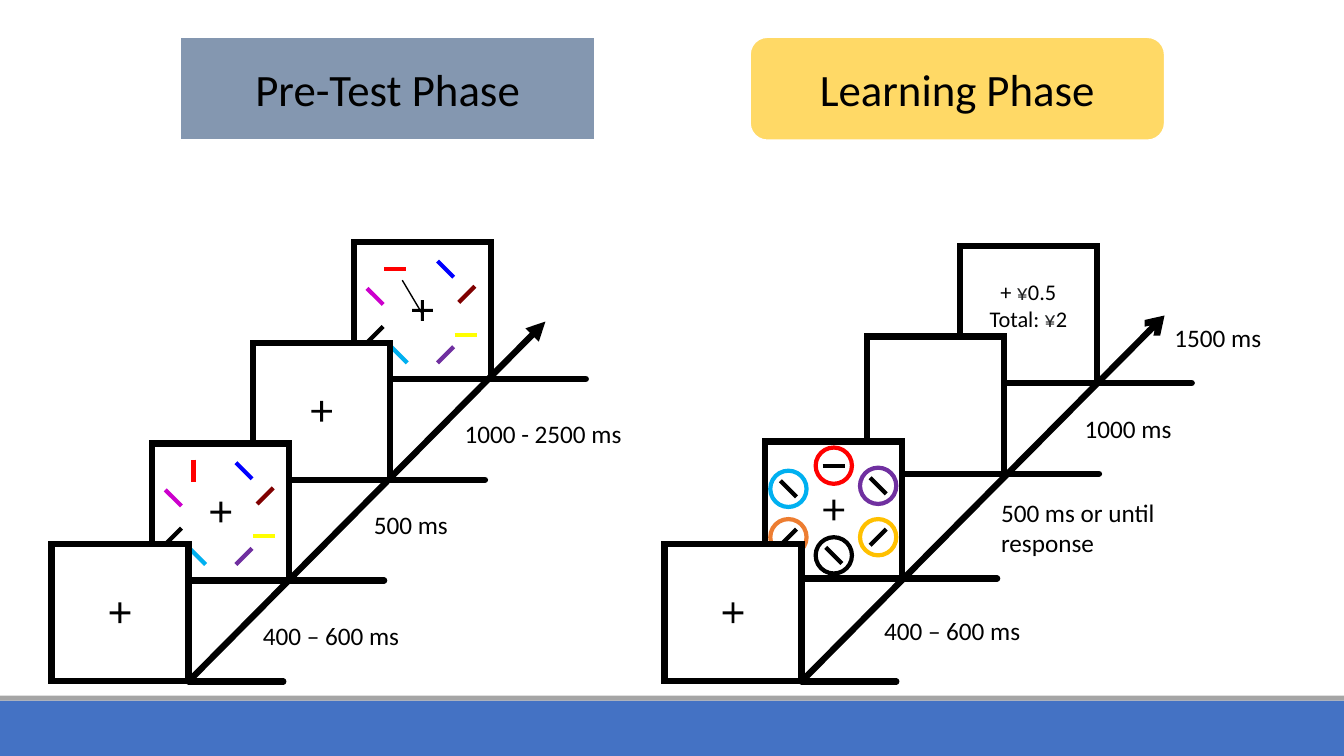
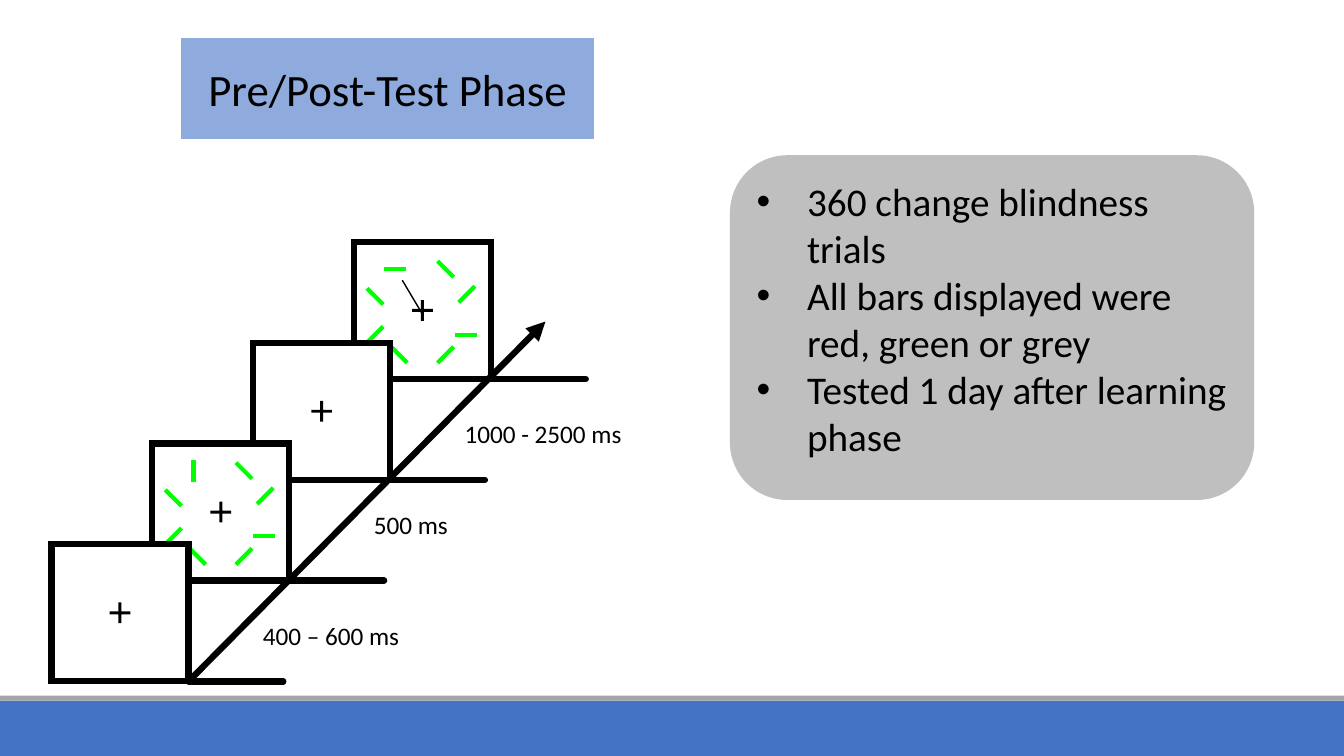
from dataclasses import dataclass
from pptx import Presentation
from pptx.dml.color import RGBColor as Color
from pptx.enum.shapes import MSO_CONNECTOR as Connector, MSO_SHAPE as Shape
from pptx.enum.text import MSO_ANCHOR as Anchor, MSO_AUTO_SIZE as AutoSize, PP_ALIGN as Align
from pptx.oxml.xmlchemy import OxmlElement
from pptx.util import Inches, Pt


@dataclass(frozen=True)
class Theme:
    font: str = "Calibri"
    black: str = "000000"
    white: str = "FFFFFF"
    yen: str = "202122"
    band: str = "4472C4"
    band_edge: str = "A5A5A5"
    pre_test: str = "8497B0"
    learning: str = "FFD966"
    post_test: str = "8FAADC"
    panel: str = "BFBFBF"
    red: str = "FF0000"
    blue: str = "0000FF"
    maroon: str = "800000"
    sky: str = "00B0F0"
    magenta: str = "CC00CC"
    purple: str = "7030A0"
    yellow: str = "FFFF00"
    orange: str = "ED7D31"
    amber: str = "FFC000"
    green: str = "00FF00"
    heading_size: int = 32
    bullet_size: int = 28
    label_size: int = 18
    feedback_size: int = 16
    thick: float = 4.5
    medium: float = 3
    thin: float = 1


THEME = Theme()
WIDTH, HEIGHT = 13.33, 7.5
FRAME = 1.36
PLUS = 0.28
CIRCLE = 0.36

# Half extents of a bar, by orientation
FLAT, UPRIGHT, FALLING, RISING = (0.11, 0), (0, 0.11), (0.08, 0.08), (0.08, -0.08)

# Bar centres inside a frame; the first bar turns between displays
TARGET = (0.41, 0.27)
BARS = [
    (0.91, 0.27, FALLING, THEME.blue),
    (1.12, 0.52, RISING, THEME.maroon),
    (0.45, 1.12, FALLING, THEME.sky),
    (0.21, 0.54, FALLING, THEME.magenta),
    (0.21, 0.92, RISING, THEME.black),
    (0.91, 1.12, RISING, THEME.purple),
    (1.11, 0.92, FLAT, THEME.yellow),
]
CIRCLES = [
    (0.68, 0.24, FLAT, THEME.red),
    (1.12, 0.44, FALLING, THEME.purple),
    (0.23, 0.47, FALLING, THEME.sky),
    (0.23, 0.95, RISING, THEME.orange),
    (1.12, 0.95, RISING, THEME.amber),
    (0.68, 1.13, FALLING, THEME.black),
]
TEST_FRAMES = [(0.51 + step, 5.4 - step) for step in range(4)]
TEST_LABELS = [
    (2.51, 6.1, 1.57, "400 – 600 ms"),
    (3.61, 5, 1.75, "500 ms"),
    (4.51, 4.1, 2.08, "1000 - 2500 ms"),
]
LEARNING_FRAMES = [(6.59, 5.4), (7.59, 4.38), (8.6, 3.34), (9.52, 2.44)]
LEARNING_LABELS = [
    (8.67, 6.06, 1.57, "400 – 600 ms"),
    (9.83, 4.88, 1.75, "500 ms or until response"),
    (10.66, 4.05, 1.11, "1000 ms"),
    (11.55, 3.15, 1.2, "1500 ms"),
]


def assign(target, **values):
    for name, value in values.items():
        setattr(target, name, value)


class Painter:
    def __init__(self, deck, theme):
        self.deck, self.theme, self.page = deck, theme, None

    # Pages and shared parts
    def add_page(self):
        self.page = self.deck.slides.add_slide(self.deck.slide_layouts[5])

    def share_bands(self):
        tree = self.deck.slide_master.shapes._spTree
        for top, height, color in ((6.95, 0.55, self.theme.band),
                                   (6.9, 0.05, self.theme.band_edge)):
            band = self.shape(Shape.RECTANGLE, 0, top, WIDTH, height, color)
            tree.append(band._element)

    # Basic elements
    def paint(self, box, fill, line=None, width=1):
        box.fill.solid()
        box.fill.fore_color.rgb = Color.from_string(fill)
        if line:
            box.line.color.rgb = Color.from_string(line)
            box.line.width = Pt(width)
        else:
            box.line.fill.background()

    def shape(self, kind, left, top, width, height, fill, line=None, weight=1):
        box = self.page.shapes.add_shape(kind, *map(Inches, (left, top, width, height)))
        box.shadow.inherit = False
        self.paint(box, fill, line, weight)
        return box

    def add_spans(self, para, size, *parts):
        for text, color in parts:
            span = para.add_run()
            span.text = text
            assign(span.font, name=self.theme.font, size=Pt(size), bold=False)
            span.font.color.rgb = Color.from_string(color)

    def line(self, start, end, color, width, cap=None, arrow=None):
        link = self.page.shapes.add_connector(
            Connector.STRAIGHT, *map(Inches, (*start, *end)))
        link.line.color.rgb = Color.from_string(color)
        link.line.width = Pt(width)
        outline = link.line._get_or_add_ln()
        if cap:
            outline.set("cap", cap)
        if arrow:
            tip = OxmlElement("a:tailEnd")
            tip.set("type", arrow)
            outline.append(tip)
        link._element.spPr.append(OxmlElement("a:effectLst"))

    # Text elements
    def heading(self, text, left, fill, is_title=False):
        place = [Inches(value) for value in (left, 0.37, 4.11, 1.02)]
        if is_title:
            box = self.page.shapes.title
            assign(box, **dict(zip(("left", "top", "width", "height"), place)))
            geometry = OxmlElement("a:prstGeom")
            geometry.set("prst", "roundRect")
            geometry.append(OxmlElement("a:avLst"))
            box._element.spPr.append(geometry)
        else:
            box = self.page.shapes.add_shape(Shape.ROUNDED_RECTANGLE, *place)
            box.shadow.inherit = False
        self.paint(box, fill, self.theme.white, self.theme.thin)
        frame = box.text_frame
        assign(frame, vertical_anchor=Anchor.MIDDLE, word_wrap=True,
               auto_size=AutoSize.NONE)
        frame.paragraphs[0].alignment = Align.CENTER
        self.add_spans(frame.paragraphs[0], self.theme.heading_size,
                       (text, self.theme.black))

    def label(self, left, top, width, text):
        box = self.page.shapes.add_textbox(*map(Inches, (left, top, width, 0.4)))
        assign(box.text_frame, word_wrap=True, auto_size=AutoSize.SHAPE_TO_FIT_TEXT)
        self.add_spans(box.text_frame.paragraphs[0], self.theme.label_size,
                       (text, self.theme.black))

    def paragraphs(self, frame, count):
        return [frame.paragraphs[0]] + [frame.add_paragraph() for _ in range(count - 1)]

    def bullets(self, left, top, width, height, items):
        box = self.shape(Shape.ROUNDED_RECTANGLE, left, top, width, height, self.theme.panel)
        assign(box.text_frame, vertical_anchor=Anchor.TOP, word_wrap=True)
        for para, item in zip(self.paragraphs(box.text_frame, len(items)), items):
            para.alignment = Align.LEFT
            layout = para._p.get_or_add_pPr()
            layout.set("marL", str(Inches(0.5)))
            layout.set("indent", str(-Inches(0.5)))
            for tag, key, value in (("a:buFont", "typeface", "Arial"),
                                    ("a:buChar", "char", "•")):
                mark = OxmlElement(tag)
                mark.set(key, value)
                layout.append(mark)
            self.add_spans(para, self.theme.bullet_size, (item, self.theme.black))

    # Trial displays
    def frame(self, left, top):
        box = self.shape(Shape.RECTANGLE, left, top, FRAME, FRAME, self.theme.white,
                         self.theme.black, self.theme.thick)
        corner = OxmlElement("a:miter")
        corner.set("lim", "800000")
        box.line._get_or_add_ln().append(corner)
        return box

    def plus(self, left, top):
        cross = self.shape(Shape.MATH_PLUS, left + 0.54, top + 0.54, PLUS, PLUS,
                           self.theme.black)
        cross.adjustments[0] = 0.103

    def bar(self, x, y, tilt, color):
        dx, dy = tilt
        self.line((x - dx, y - dy), (x + dx, y + dy), color, self.theme.medium)

    def blank_display(self, left, top):
        self.frame(left, top)

    def fixation_display(self, left, top):
        self.frame(left, top)
        self.plus(left, top)

    def bar_display(self, left, top, target_tilt, color=None):
        self.fixation_display(left, top)
        for x, y, tilt, own_color in [(*TARGET, target_tilt, self.theme.red), *BARS]:
            self.bar(left + x, top + y, tilt, color or own_color)

    def circle_display(self, left, top):
        self.fixation_display(left, top)
        for x, y, tilt, color in CIRCLES:
            self.shape(Shape.OVAL, left + x - CIRCLE / 2, top + y - CIRCLE / 2,
                       CIRCLE, CIRCLE, self.theme.white, color, self.theme.medium)
            self.bar(left + x, top + y, tilt, self.theme.black)

    def feedback_display(self, left, top):
        frame = self.frame(left, top).text_frame
        assign(frame, vertical_anchor=Anchor.TOP, word_wrap=True, margin_top=Inches(0.32))
        rows = (("+ ", "0.5"), ("Total: ", "2"))
        for para, (before, after) in zip(self.paragraphs(frame, len(rows)), rows):
            para.alignment = Align.CENTER
            self.add_spans(para, self.theme.feedback_size, (before, self.theme.black),
                           ("¥", self.theme.yen), (after, self.theme.black))

    def timeline(self, frames, labels, end, arrow):
        black, thick = self.theme.black, self.theme.thick
        corners = [(left + FRAME, top + FRAME) for left, top in frames]
        for x, y in corners:
            self.line((x, y), (x + 0.94, y), black, thick, "rnd")
        self.line(corners[0], end, black, thick, arrow=arrow)
        for label in labels:
            self.label(*label)

    # Whole trials
    def test_trial(self, color=None):
        first, second, third, last = TEST_FRAMES
        self.bar_display(*last, FLAT, color)
        self.fixation_display(*third)
        self.bar_display(*second, UPRIGHT, color)
        self.fixation_display(*first)
        self.timeline(TEST_FRAMES, TEST_LABELS, (5.41, 3.19), "triangle")
        self.line((4.18, 3.1), (3.99, 2.78), self.theme.black, self.theme.thin)

    def learning_trial(self):
        first, second, third, last = LEARNING_FRAMES
        self.feedback_display(*last)
        self.blank_display(*third)
        self.circle_display(*second)
        self.fixation_display(*first)
        self.timeline(LEARNING_FRAMES, LEARNING_LABELS, (11.55, 3.13), "arrow")


deck = Presentation()
assign(deck, slide_width=Inches(WIDTH), slide_height=Inches(HEIGHT))
painter = Painter(deck, THEME)

# Slide 1: pre-test and learning phases
painter.add_page()
painter.share_bands()
painter.heading("Pre-Test Phase", 1.79, THEME.pre_test, is_title=True)
painter.heading("Learning Phase", 7.44, THEME.learning)
painter.learning_trial()
painter.test_trial()

# Slide 2: pre/post-test phase
painter.add_page()
painter.heading("Pre/Post-Test Phase", 1.79, THEME.post_test, is_title=True)
painter.test_trial(THEME.green)
painter.bullets(7.24, 1.54, 5.2, 3.42, [
    "360 change blindness trials",
    "All bars displayed were red, green or grey",
    "Tested 1 day after learning phase",
])

deck.save("out.pptx")
